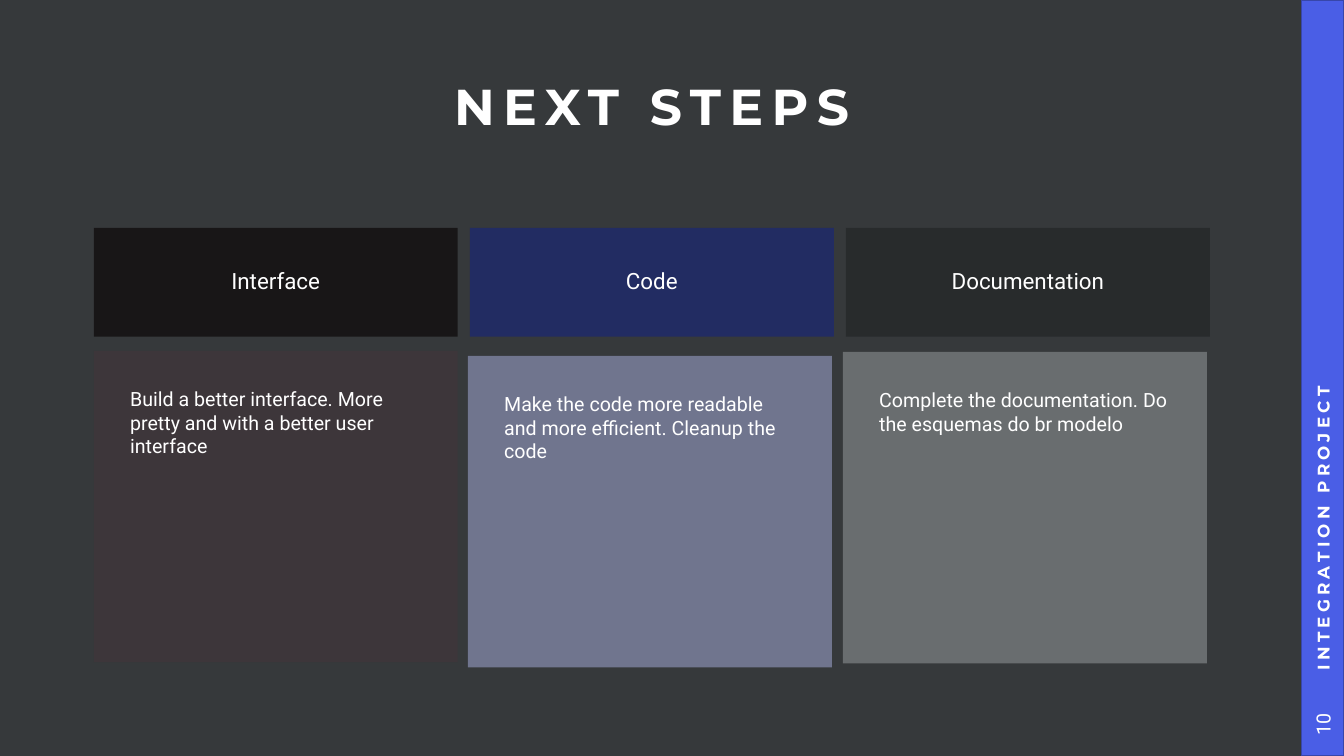
import pptx
import pptx.dml.color
import pptx.enum.shapes
import pptx.enum.text
import pptx.oxml.ns
import pptx.util
from lxml import etree

Inches = pptx.util.Inches
Align = pptx.enum.text.PP_ALIGN
Anchor = pptx.enum.text.MSO_ANCHOR


def color(hex_value):
    """Turn a hex string into a colour."""
    return pptx.dml.color.RGBColor.from_string(hex_value)


class StepsSlide:
    """Hold the style and the slide being built."""

    heading_font = "Montserrat"
    body_font = "Roboto"
    ink = "FFFFFF"

    def __init__(self, slide, background):
        """Keep the slide and paint its background."""
        self.slide = slide
        slide.background.fill.solid()
        slide.background.fill.fore_color.rgb = color(background)

    def block(self, box, fill, alpha=None, outline=None):
        """Add a filled rectangle, optionally see-through or outlined."""
        rectangle = self.slide.shapes.add_shape(
            pptx.enum.shapes.MSO_SHAPE.RECTANGLE, *map(Inches, box))
        rectangle.shadow.inherit = False
        rectangle.fill.solid()
        rectangle.fill.fore_color.rgb = color(fill)
        if alpha:
            tint = rectangle._element.spPr.find(".//" + pptx.oxml.ns.qn("a:srgbClr"))
            etree.SubElement(tint, pptx.oxml.ns.qn("a:alpha"), val=str(alpha * 1000))
        if outline:
            rectangle.line.color.rgb = color(outline)
            rectangle.line.width = pptx.util.Pt(1)
        else:
            rectangle.line.fill.background()
        return rectangle

    def put_text(self, shape, text, size, insets, anchor=Anchor.MIDDLE,
                 align=Align.CENTER, font=None, bold=False, tracking=0, leading=1.0):
        """Put one styled run of text into a shape."""
        frame = shape.text_frame
        frame.word_wrap = True
        frame.vertical_anchor = anchor
        (frame.margin_left, frame.margin_top,
         frame.margin_right, frame.margin_bottom) = map(Inches, insets)
        paragraph = frame.paragraphs[0]
        paragraph.alignment = align
        paragraph.line_spacing = leading
        run = paragraph.add_run()
        run.text = text
        run.font.name = font or self.body_font
        run.font.size = pptx.util.Pt(size)
        run.font.bold = bold
        run.font.color.rgb = color(self.ink)
        if tracking:
            run._r.get_or_add_rPr().set("spc", str(tracking * 100))

    def label(self, box, text, size, insets, rotation=0, **style):
        """Add a text box, turned if asked."""
        text_box = self.slide.shapes.add_textbox(*map(Inches, box))
        text_box.rotation = rotation
        self.put_text(text_box, text, size, insets, **style)

    def step(self, heading_box, heading, heading_fill, body_box, body, body_fill):
        """Add a heading block with its description block."""
        header = self.block(heading_box, *heading_fill)
        self.put_text(header, heading, 16, [0.29] * 4, leading=0.9)
        card = self.block(body_box, *body_fill)
        self.put_text(card, body, 14, [0.36] * 4, anchor=Anchor.TOP, align=Align.LEFT)


def main():
    """Build and save the slide."""
    deck = pptx.Presentation()
    deck.slide_width, deck.slide_height = Inches(13.33), Inches(7.5)
    page = StepsSlide(deck.slides.add_slide(deck.slide_layouts[6]), "36393B")

    page.block((12.91, 0, 0.42, 7.5), "4A5EE6", outline="3746AA")

    left, pitch, width = 0.93, 3.73, 3.61
    steps = [
        ("Interface", ("181617",), (0.93, 3.48),
         "Build a better interface. More pretty and with a better user interface",
         ("3D363A",)),
        ("Code", ("122186", 53), (4.64, 3.53),
         "Make the code more readable and more efficient. Cleanup the code",
         ("B7BFF5", 45)),
        ("Documentation", ("282B2C",), (8.36, 3.49),
         "Complete the documentation. Do the esquemas do br modelo",
         ("ACB0B3", 44)),
    ]
    for index, (heading, heading_fill, corner, body, body_fill) in enumerate(steps):
        page.step((left + index * pitch, 2.26, width, 1.08), heading, heading_fill,
                  (*corner, width, 3.09), body, body_fill)

    page.label((left, 0.5, 11.07, 1.17), "NEXT STEPS", 36, [0] * 4,
               font=page.heading_font, bold=True, tracking=6, leading=0.9)
    page.label((9.68, 3.23, 6.88, 0.42), "INTEGRATION PROJECT", 12,
               (0.23, 0.05, 0.1, 0.05), rotation=270, align=Align.LEFT,
               font=page.heading_font, bold=True, tracking=3)
    page.label((12.81, 6.98, 0.62, 0.42), "10", 14, (0.1, 0.05, 0.1, 0.05),
               rotation=270)

    deck.save("out.pptx")


if __name__ == "__main__":
    main()
